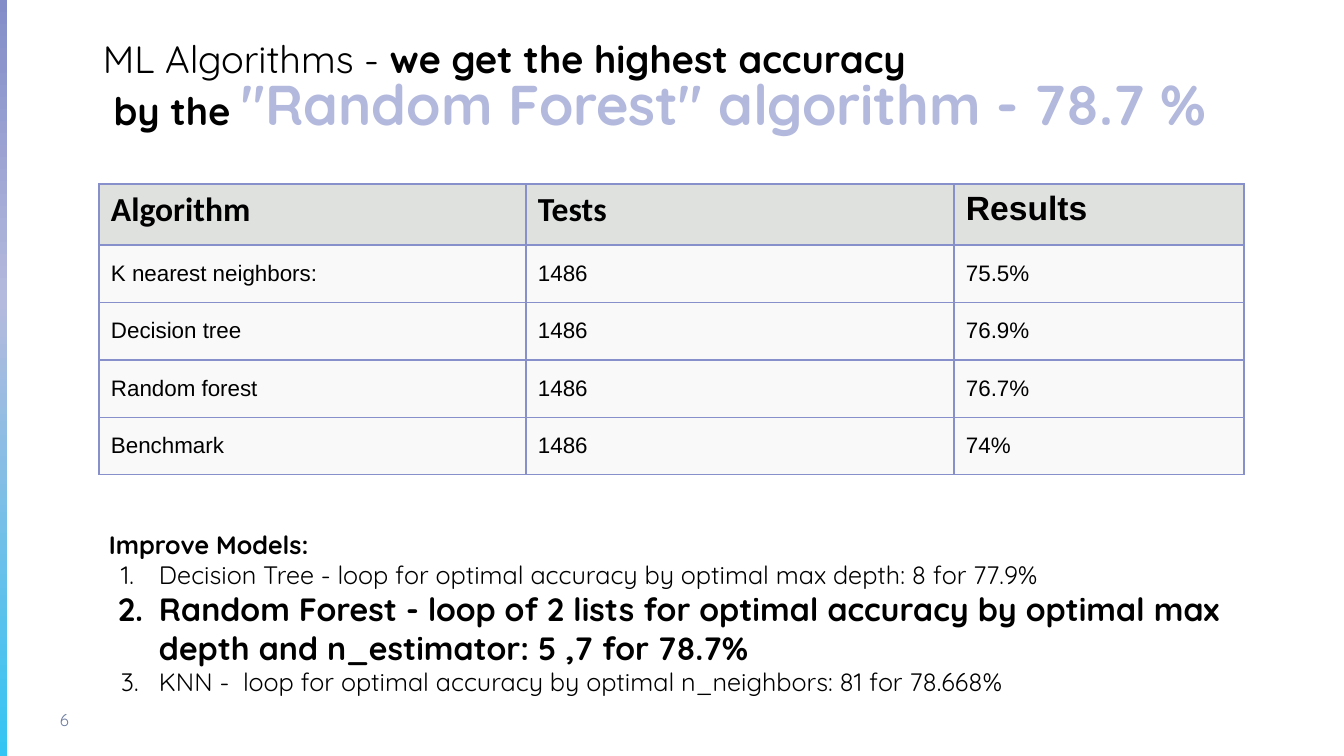
from dataclasses import dataclass

from lxml import etree
from pptx import Presentation
from pptx.dml.color import RGBColor
from pptx.enum.shapes import MSO_SHAPE
from pptx.enum.text import MSO_ANCHOR
from pptx.oxml import parse_xml
from pptx.oxml.ns import nsdecls, qn
from pptx.util import Pt

RECTANGLE = MSO_SHAPE.RECTANGLE
TOP, MIDDLE, BOTTOM = MSO_ANCHOR.TOP, MSO_ANCHOR.MIDDLE, MSO_ANCHOR.BOTTOM
PAGE_WIDTH, PAGE_HEIGHT = 1344, 756
EMU_PER_PX = 914400 / 100.8


@dataclass(frozen=True)
class Theme:
    ink: str = "000000"
    accent: str = "B3B9DD"
    page_number: str = "6E7CA0"
    header_fill: str = "DFE1DF"
    body_fill: str = "F9F9F9"
    border: str = "8790CA"
    strip: tuple = ((0, "838DC8"), (40, "B4BADD"), (100, "33C5F3"))
    font: str = "Quicksand"
    table_font: str = "Arial"
    header_font: str = "Calibri"
    title_size: float = 27.2
    highlight_size: float = 40
    header_size: float = 24
    cell_size: float = 16
    list_size: float = 18
    list_highlight_size: float = 23
    number_size: float = 12


def px(length):
    return round(length * EMU_PER_PX)


def add_span(para, text, *, size, font, color, bold=False):
    span = para.add_run()
    span.text = text
    span.font.size = Pt(size)
    span.font.name = font
    span.font.bold = bold
    span.font.color.rgb = RGBColor.from_string(color)


def set_insets(target, left, top, right, bottom):
    target.margin_left, target.margin_top = px(left), px(top)
    target.margin_right, target.margin_bottom = px(right), px(bottom)


def number_paragraph(para, margin, hanging, color):
    """Turn a paragraph into an item of a 1. 2. 3. list."""
    properties = para._p.get_or_add_pPr()
    properties.set("marL", str(px(margin)))
    properties.set("indent", str(-px(hanging)))
    bullet_color = etree.SubElement(properties, qn("a:buClr"))
    etree.SubElement(bullet_color, qn("a:srgbClr"), val=color)
    etree.SubElement(properties, qn("a:buAutoNum"), type="arabicPeriod")


def set_borders(cell, color):
    properties = cell._tc.get_or_add_tcPr()
    for position, side in enumerate(("lnL", "lnR", "lnT", "lnB")):
        properties.insert(position, parse_xml(
            f'<a:{side} {nsdecls("a")} w="{Pt(1)}"><a:solidFill>'
            f'<a:srgbClr val="{color}"/></a:solidFill></a:{side}>'))


class PageBuilder:
    def __init__(self, page, theme):
        self.page = page
        self.theme = theme

    def strip(self, left, top, width, height, stops):
        """Draw a bar whose gradient runs from top to bottom."""
        bar = self.page.shapes.add_shape(
            RECTANGLE, px(left), px(top), px(width), px(height))
        bar.shadow.inherit = False
        bar.line.fill.background()
        marks = "".join(
            f'<a:gs pos="{percent * 1000}"><a:srgbClr val="{color}"/></a:gs>'
            for percent, color in stops)
        bar._element.spPr.find(qn("a:prstGeom")).addnext(parse_xml(
            f'<a:gradFill {nsdecls("a")}><a:gsLst>{marks}</a:gsLst>'
            '<a:lin ang="5400000" scaled="0"/></a:gradFill>'))

    def text_box(self, left, top, width, height, *, anchor, insets):
        box = self.page.shapes.add_textbox(
            px(left), px(top), px(width), px(height))
        frame = box.text_frame
        frame.word_wrap = True
        frame.vertical_anchor = anchor
        set_insets(frame, *insets)
        return frame

    def span(self, para, text, **changes):
        style = {"size": self.theme.list_size, "font": self.theme.font,
                 "color": self.theme.ink}
        add_span(para, text, **{**style, **changes})

    def cell(self, cell, text, *, fill, anchor, **style):
        cell.fill.solid()
        cell.fill.fore_color.rgb = RGBColor.from_string(fill)
        cell.vertical_anchor = anchor
        set_insets(cell, 12, 6, 12, 6)
        set_borders(cell, self.theme.border)
        self.span(cell.text_frame.paragraphs[0], text, **style)

    def table(self, left, top, widths, header_height, body_height, header, rows):
        """Header holds (text, font) pairs; the body rows share body_height."""
        theme = self.theme
        table = self.page.shapes.add_table(
            len(rows) + 1, len(widths), px(left), px(top),
            px(sum(widths)), px(header_height + body_height)).table
        table.horz_banding = False
        for column, width in zip(table.columns, widths):
            column.width = px(width)
        for index, row in enumerate(table.rows):
            row.height = px(body_height / len(rows) if index else header_height)
        for column, (text, font) in enumerate(header):
            self.cell(table.cell(0, column), text, fill=theme.header_fill,
                      anchor=TOP, size=theme.header_size, font=font, bold=True)
        for row, texts in enumerate(rows, start=1):
            for column, text in enumerate(texts):
                self.cell(table.cell(row, column), text, fill=theme.body_fill,
                          anchor=MIDDLE, size=theme.cell_size,
                          font=theme.table_font)


def add_title(builder):
    theme = builder.theme
    frame = builder.text_box(93, 37, 1159, 103, anchor=BOTTOM,
                             insets=(10, 5, 10, 5))
    first, second = frame.paragraphs[0], frame.add_paragraph()
    first.line_spacing = second.line_spacing = 0.7
    second.space_before = Pt(6)
    builder.span(first, "ML Algorithms - ", size=theme.title_size)
    builder.span(first, "we get the highest accuracy",
                 size=theme.title_size, bold=True)
    builder.span(second, " by the ", size=theme.title_size, bold=True)
    builder.span(second, '"Random Forest" algorithm - 78.7 %',
                 size=theme.highlight_size, color=theme.accent, bold=True)


def add_results(builder):
    theme = builder.theme
    results = (("K nearest neighbors:", "75.5%"), ("Decision tree", "76.9%"),
               ("Random forest", "76.7%"), ("Benchmark", "74%"))
    builder.table(
        99, 184, (427, 428, 290), 61, 230,
        (("Algorithm", theme.header_font), ("Tests", theme.header_font),
         ("Results", theme.table_font)),
        [(algorithm, "1486", result) for algorithm, result in results])


def add_improvements(builder):
    theme = builder.theme
    frame = builder.text_box(99, 519, 1168, 191, anchor=TOP,
                             insets=(10, 10, 10, 10))
    builder.span(frame.paragraphs[0], "Improve Models:", bold=True)
    items = (
        ("Decision Tree - loop for optimal accuracy by optimal max depth: "
         "8 for 77.9%", False),
        ("Random Forest - loop of 2 lists for optimal accuracy by optimal max "
         "depth and n_estimator: 5 ,7 for 78.7%", True),
        ("KNN -  loop for optimal accuracy by optimal n_neighbors: "
         "81 for 78.668%", False),
    )
    for text, best in items:
        para = frame.add_paragraph()
        number_paragraph(para, 50, 41 if best else 38, theme.ink)
        size = theme.list_highlight_size if best else theme.list_size
        builder.span(para, text, size=size, bold=best)


def main():
    deck = Presentation()
    deck.slide_width, deck.slide_height = px(PAGE_WIDTH), px(PAGE_HEIGHT)
    theme = Theme()
    builder = PageBuilder(deck.slides.add_slide(deck.slide_layouts[6]), theme)
    number = builder.text_box(60, 700, 70, 40, anchor=MIDDLE,
                              insets=(0, 5, 10, 5))
    builder.span(number.paragraphs[0], "6", size=theme.number_size,
                 color=theme.page_number)
    builder.strip(0, 0, 7, PAGE_HEIGHT, theme.strip)
    add_title(builder)
    add_results(builder)
    add_improvements(builder)
    deck.save("out.pptx")


if __name__ == "__main__":
    main()
